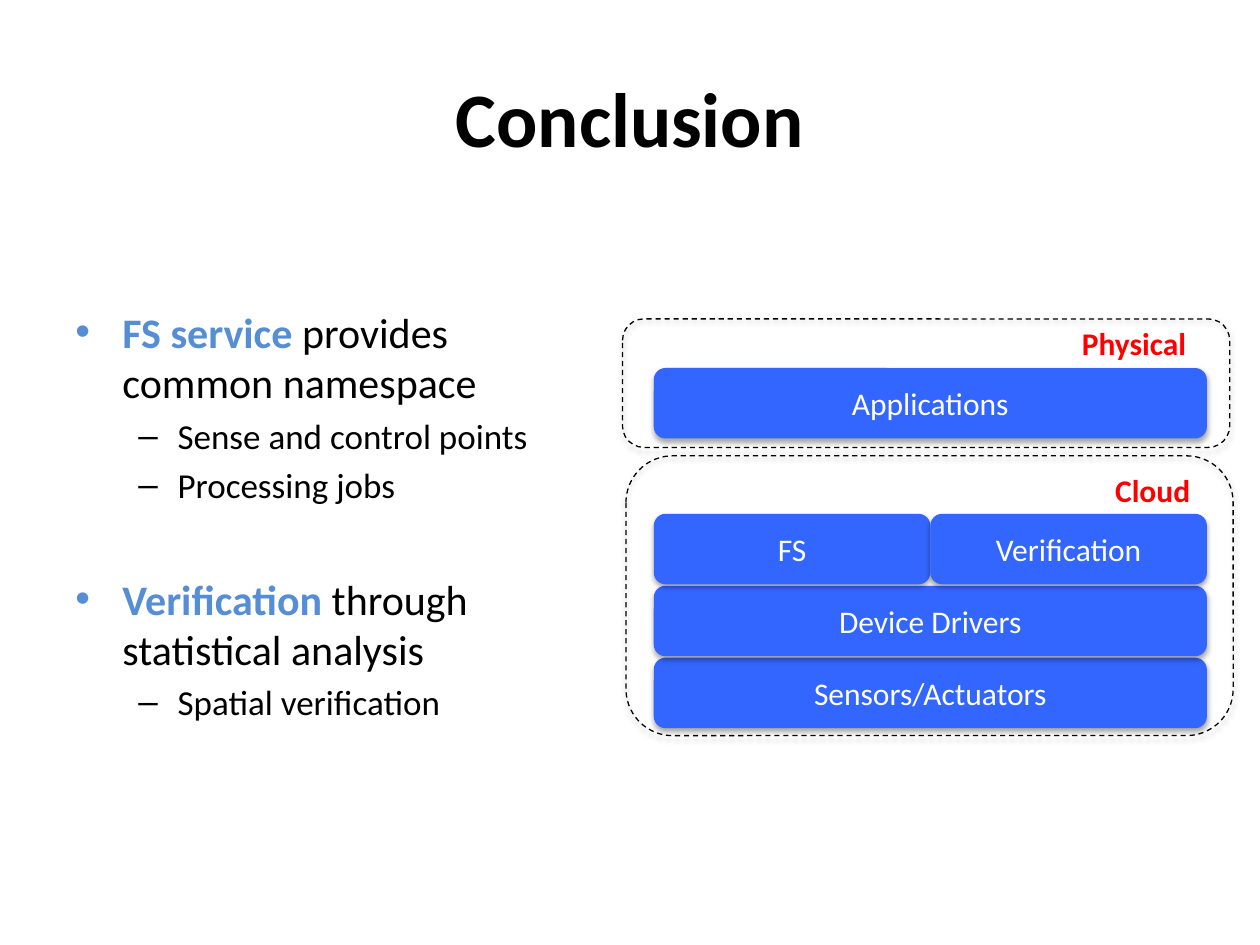
from lxml import etree
from pptx import Presentation
from pptx.dml.color import RGBColor
from pptx.enum.dml import MSO_LINE
from pptx.enum.shapes import MSO_SHAPE
from pptx.enum.text import MSO_ANCHOR, MSO_AUTO_SIZE, PP_ALIGN
from pptx.oxml.ns import qn
from pptx.util import Cm, Pt

DASH = MSO_LINE.DASH
ROUNDED = MSO_SHAPE.ROUNDED_RECTANGLE
MIDDLE, TOP = MSO_ANCHOR.MIDDLE, MSO_ANCHOR.TOP
LEFT, CENTER = PP_ALIGN.LEFT, PP_ALIGN.CENTER
FIT_SHAPE = MSO_AUTO_SIZE.SHAPE_TO_FIT_TEXT

FONT = "Calibri"
BLACK = RGBColor(0x00, 0x00, 0x00)
WHITE = RGBColor(0xFF, 0xFF, 0xFF)
RED = RGBColor(0xFF, 0x00, 0x00)
ACCENT = RGBColor(0x55, 0x8E, 0xD5)
BLOCK_BLUE = RGBColor(0x33, 0x66, 0xFF)

# Content: key term, rest of the point, sub-points
TITLE = "Conclusion"
POINTS = [
    ("FS service ", "provides common namespace",
     ["Sense and control points", "Processing jobs"]),
    ("Verification ", "through statistical analysis",
     ["Spatial verification"]),
]

# Layers: frame box, label, label box, top of first row, rows of blocks (cm)
LAYERS = [
    {"frame": (12.62, 9.19, 12.24, 5.64), "label": "Cloud",
     "label_box": (22.23, 9.37, 2.03, 1.02), "top": 10.36,
     "rows": [["FS", "Verification"], ["Device Drivers"], ["Sensors/Actuators"]]},
    {"frame": (12.55, 6.43, 12.24, 2.59), "label": "Physical",
     "label_box": (21.56, 6.4, 2.67, 1.02), "top": 7.42,
     "rows": [["Applications"]]},
]
STACK_LEFT, STACK_WIDTH = 13.18, 11.15
BLOCK_HEIGHT, ROW_PITCH = 1.42, 1.45


def place(box, left, top, width, height):
    box.left, box.top, box.width, box.height = map(Cm, (left, top, width, height))


def write(para, text, size=18, color=BLACK, bold=False, align=LEFT):
    para.alignment = align
    span = para.add_run()
    span.text = text
    span.font.name, span.font.size = FONT, Pt(size)
    span.font.bold, span.font.color.rgb = bold, color


def set_bullet(para, mark, color, margin, hanging):
    props = para._p.get_or_add_pPr()
    props.set("marL", str(Cm(margin)))
    props.set("indent", str(-Cm(hanging)))
    fill = etree.SubElement(props, qn("a:buClr"))
    etree.SubElement(fill, qn("a:srgbClr"), val=str(color))
    etree.SubElement(props, qn("a:buFont"), typeface="Arial")
    etree.SubElement(props, qn("a:buChar"), char=mark)


def add_shadow(shape):
    effects = etree.SubElement(shape._element.spPr, qn("a:effectLst"))
    shadow = etree.SubElement(effects, qn("a:outerShdw"), blurRad=str(Pt(3.1)),
                              dist=str(Pt(1.8)), dir="5400000", rotWithShape="0")
    color = etree.SubElement(shadow, qn("a:srgbClr"), val=str(BLACK))
    etree.SubElement(color, qn("a:alpha"), val="35000")


def add_rounded(page, bounds, fill=None):
    shape = page.shapes.add_shape(ROUNDED, *map(Cm, bounds))
    if fill is None:
        shape.fill.background()
        shape.line.color.rgb = BLACK
        shape.line.width = Pt(0.75)
        shape.line.dash_style = DASH
    else:
        shape.fill.solid()
        shape.fill.fore_color.rgb = fill
        shape.line.fill.background()
    add_shadow(shape)
    return shape


def add_points(page):
    frame = page.shapes.add_textbox(Cm(1.27), Cm(6.05), Cm(11.23), Cm(10.97)).text_frame
    frame.word_wrap = True
    frame.vertical_anchor = TOP
    for index, (term, rest, details) in enumerate(POINTS):
        para = frame.add_paragraph() if index else frame.paragraphs[0]
        set_bullet(para, "•", ACCENT, 0.95, 0.95)
        if index:
            para.space_before = Pt(38.9)
        write(para, term, size=24, color=ACCENT, bold=True)
        write(para, rest, size=24)
        for detail in details:
            para = frame.add_paragraph()
            para.level = 1
            set_bullet(para, "–", BLACK, 2.06, 0.79)
            para.space_before = Pt(4)
            write(para, detail, size=20)


def add_layer(page, layer):
    add_rounded(page, layer["frame"])
    label = page.shapes.add_textbox(*map(Cm, layer["label_box"])).text_frame
    label.word_wrap = False
    label.auto_size = FIT_SHAPE
    write(label.paragraphs[0], layer["label"], color=RED, bold=True)
    # Lower rows first, so that each row's shadow falls on the one below
    for row, names in reversed(list(enumerate(layer["rows"]))):
        width = STACK_WIDTH / len(names)
        for column, name in enumerate(names):
            bounds = (STACK_LEFT + column * width, layer["top"] + row * ROW_PITCH,
                      width, BLOCK_HEIGHT)
            frame = add_rounded(page, bounds, BLOCK_BLUE).text_frame
            frame.vertical_anchor = MIDDLE
            write(frame.paragraphs[0], name, color=WHITE, align=CENTER)


def main():
    deck = Presentation()
    deck.slide_width, deck.slide_height = Cm(25.4), Cm(19.05)
    page = deck.slides.add_slide(deck.slide_layouts[5])

    # Title
    title = page.shapes.title
    place(title, 1.27, 0.76, 22.86, 3.18)
    title.text_frame.vertical_anchor = MIDDLE
    write(title.text_frame.paragraphs[0], TITLE, size=44, bold=True, align=CENTER)

    # Points on the left, layered stack on the right
    add_points(page)
    for layer in LAYERS:
        add_layer(page, layer)

    deck.save("out.pptx")


if __name__ == "__main__":
    main()
